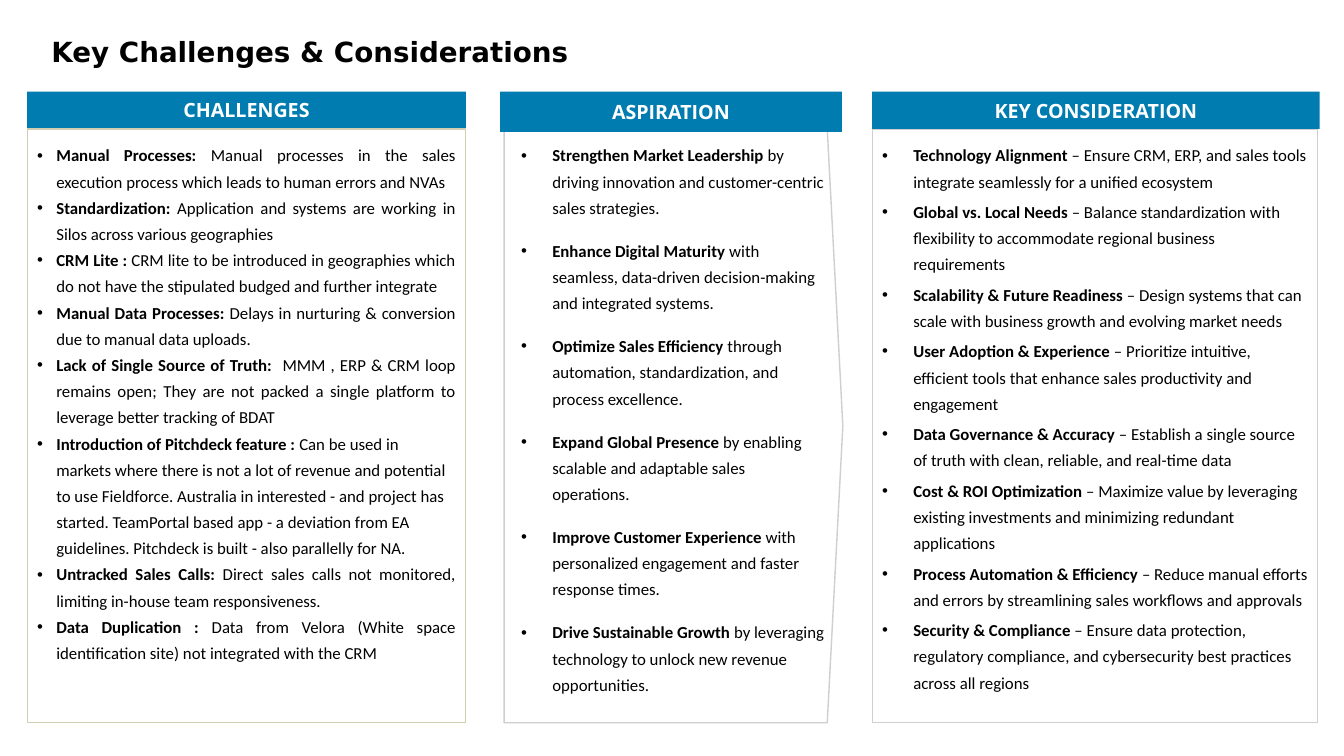
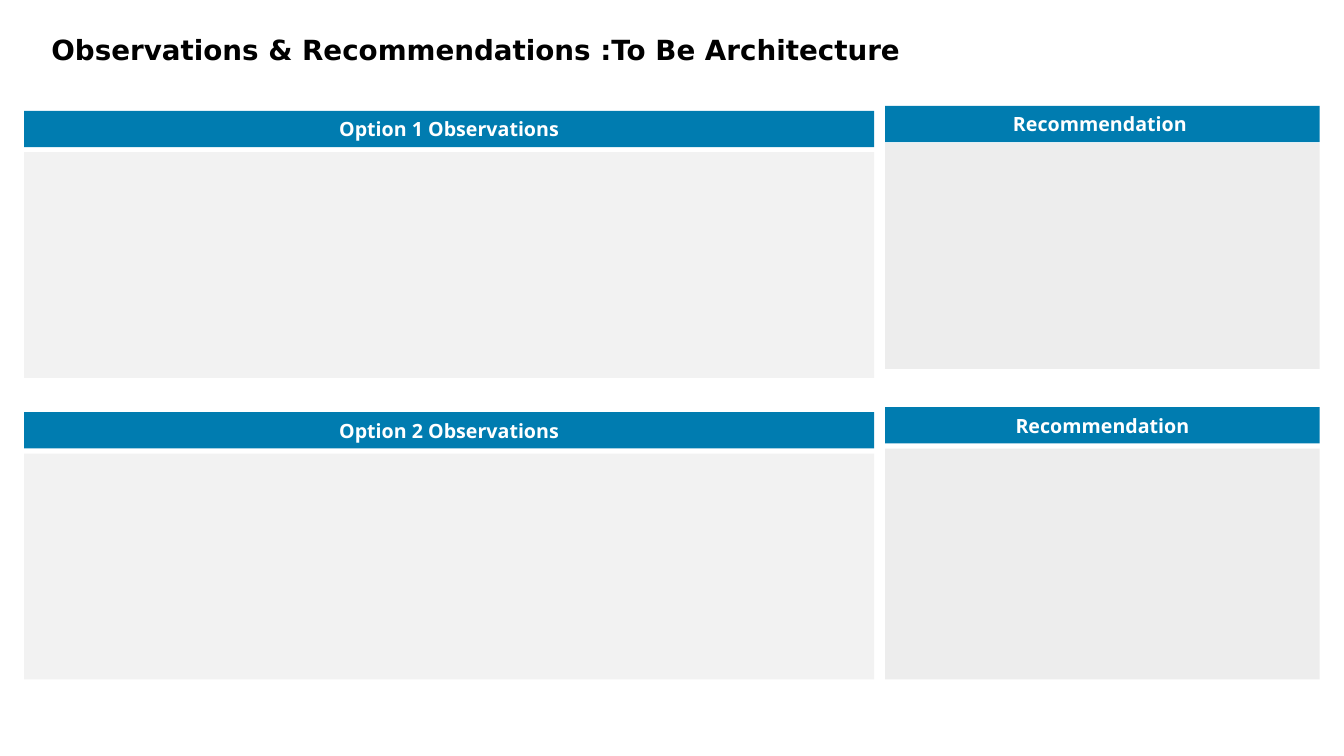
from lxml.etree import SubElement
from pptx import Presentation
from pptx.dml.color import RGBColor
from pptx.enum.shapes import MSO_SHAPE
from pptx.enum.text import MSO_ANCHOR, MSO_AUTO_SIZE, PP_ALIGN
from pptx.oxml.ns import qn
from pptx.util import Inches, Pt

BLUE, WHITE, BLACK = "007CB0", "FFFFFF", "000000"
OLIVE_LINE, GREY_LINE = "D2CEB1", "D0CECE"
OBSERVATION_GREY, RECOMMENDATION_GREY = "F2F2F2", "EDEDED"
TITLE_FONT, BAND_FONT, BODY_FONT = "DejaVu Sans", "Open Sans", "Calibri"
TITLE_ONLY = 5

CHALLENGES = [
    ("Manual Processes:", " Manual processes in the sales execution process which leads to human errors and NVAs"),
    ("Standardization: ", "Application and systems are working in Silos across various geographies"),
    ("CRM Lite : ", "CRM lite to be introduced in geographies which do not have the stipulated budged "
     "and further integrate"),
    ("Manual Data Processes:", " Delays in nurturing & conversion due to manual data uploads."),
    ("Lack of Single Source of Truth: ", " MMM , ERP & CRM loop remains open; They are not packed a single "
     "platform to leverage better tracking of BDAT"),
    ("Introduction of Pitchdeck feature : ", "Can be used in markets where there is not a lot of revenue and "
     "potential to use Fieldforce. Australia in interested - and project has started. TeamPortal based app - "
     "a deviation from EA guidelines. Pitchdeck is built - also parallelly for NA."),
    ("Untracked Sales Calls:", " Direct sales calls not monitored, limiting in-house team responsiveness."),
    ("Data Duplication : ", "Data from Velora (White space identification site) not integrated with the CRM"),
]
LEFT_ALIGNED_CHALLENGE = 5

ASPIRATIONS = [
    ("Strengthen Market Leadership ", "by driving innovation and customer-centric sales strategies."),
    ("Enhance Digital Maturity ", "with seamless, data-driven decision-making and integrated systems."),
    ("Optimize Sales Efficiency ", "through automation, standardization, and process excellence."),
    ("Expand Global Presence ", "by enabling scalable and adaptable sales operations."),
    ("Improve Customer Experience ", "with personalized engagement and faster response times."),
    ("Drive Sustainable Growth ", "by leveraging technology to unlock new revenue opportunities."),
]

CONSIDERATIONS = [
    ("Technology Alignment", " – Ensure CRM, ERP, and sales tools integrate seamlessly for a unified ecosystem"),
    ("Global vs. Local Needs", " – Balance standardization with flexibility to accommodate regional business "
     "requirements"),
    ("Scalability & Future Readiness", " – Design systems that can scale with business growth and evolving "
     "market needs"),
    ("User Adoption & Experience", " – Prioritize intuitive, efficient tools that enhance sales productivity "
     "and engagement"),
    ("Data Governance & Accuracy", " – Establish a single source of truth with clean, reliable, and real-time data"),
    ("Cost & ROI Optimization", " – Maximize value by leveraging existing investments and minimizing redundant "
     "applications"),
    ("Process Automation & Efficiency", " – Reduce manual efforts and errors by streamlining sales workflows "
     "and approvals"),
    ("Security & Compliance", " – Ensure data protection, regulatory compliance, and cybersecurity best "
     "practices across all regions"),
]


def colour(hex_string):
    """Turn a hex string into a colour."""
    return RGBColor.from_string(hex_string)


def style_run(run, font, size, hex_string, bold=True):
    """Give a run its font, size, colour and weight."""
    run.font.name, run.font.size, run.font.bold = font, Pt(size), bold
    run.font.color.rgb = colour(hex_string)


def set_margins(frame, margin):
    """Set the same inset on all four sides and wrap the text."""
    frame.margin_left = frame.margin_right = Inches(margin)
    frame.margin_top = frame.margin_bottom = Inches(margin)
    frame.word_wrap = True


def add_titled_slide(deck, text, top, line_spacing=1.0):
    """Add a title-only slide with the shared title style."""
    slide = deck.slides.add_slide(deck.slide_layouts[TITLE_ONLY])
    title = slide.shapes.title
    title.left, title.top, title.width, title.height = map(Inches, (0.51, top, 12.33, 0.37))
    frame = title.text_frame
    frame.text = text
    frame.auto_size = MSO_AUTO_SIZE.NONE
    frame.vertical_anchor = MSO_ANCHOR.TOP
    set_margins(frame, 0)
    paragraph = frame.paragraphs[0]
    paragraph.alignment = PP_ALIGN.LEFT
    paragraph.line_spacing = line_spacing
    style_run(paragraph.runs[0], TITLE_FONT, 19.8, BLACK)
    return slide


def add_block(slide, box, fill=None, line=None, line_width=1, preset=MSO_SHAPE.RECTANGLE):
    """Add a flat shape with an optional fill and outline."""
    block = slide.shapes.add_shape(preset, *map(Inches, box))
    block.shadow.inherit = False
    if fill:
        block.fill.solid()
        block.fill.fore_color.rgb = colour(fill)
    else:
        block.fill.background()
    if line:
        block.line.color.rgb = colour(line)
        block.line.width = Pt(line_width)
    else:
        block.line.fill.background()
    return block


def add_band(slide, text, box):
    """Add a blue heading band with centred white text."""
    frame = add_block(slide, box, fill=BLUE).text_frame
    frame.text = text
    frame.vertical_anchor = MSO_ANCHOR.MIDDLE
    set_margins(frame, 0)
    paragraph = frame.paragraphs[0]
    paragraph.alignment = PP_ALIGN.CENTER
    paragraph.space_before = Pt(6)
    style_run(paragraph.runs[0], BAND_FONT, 14, WHITE)


def set_bullet(paragraph, margin, hanging):
    """Give a paragraph a hanging round bullet."""
    properties = paragraph._p.get_or_add_pPr()
    properties.set("marL", str(Inches(margin)))
    properties.set("indent", str(-Inches(hanging)))
    SubElement(properties, qn("a:buFont")).set("typeface", "Arial")
    SubElement(properties, qn("a:buChar")).set("char", "•")


def fill_bullets(panel, points, margin, hanging, before=0, after=0, align=PP_ALIGN.LEFT):
    """Write bulleted points, each with a bold lead, and return the paragraphs."""
    frame = panel.text_frame
    frame.vertical_anchor = MSO_ANCHOR.TOP
    set_margins(frame, 0.1)
    for index, (lead, detail) in enumerate(points):
        paragraph = frame.add_paragraph() if index else frame.paragraphs[0]
        paragraph.alignment = align
        paragraph.line_spacing = 1.3
        paragraph.space_before, paragraph.space_after = Pt(before), Pt(after)
        for text, bold in ((lead, True), (detail, False)):
            run = paragraph.add_run()
            run.text = text
            style_run(run, BODY_FONT, 12, BLACK, bold)
        set_bullet(paragraph, margin, hanging)
    return frame.paragraphs


def build_challenges(deck):
    """Build the slide with three bulleted columns."""
    slide = add_titled_slide(deck, "Key Challenges & Considerations", 0.38, 0.9)
    top, height = 1.28, 5.89

    challenges = add_block(slide, (0.27, top, 4.35, height), line=OLIVE_LINE)
    paragraphs = fill_bullets(challenges, CHALLENGES, 0.19, 0.19, align=PP_ALIGN.JUSTIFY)
    paragraphs[LEFT_ALIGNED_CHALLENGE].alignment = PP_ALIGN.LEFT

    aspiration = add_block(slide, (5, top, 3.36, height), line=GREY_LINE, preset=MSO_SHAPE.PENTAGON)
    aspiration.adjustments[0] = 0.046
    fill_bullets(aspiration, ASPIRATIONS, 0.38, 0.31, before=6, after=6)

    consideration = add_block(slide, (8.65, top, 4.42, height), line=GREY_LINE, line_width=0.75)
    fill_bullets(consideration, CONSIDERATIONS, 0.31, 0.31, before=3)

    for heading, left, width, band_height in (
        ("CHALLENGES", 0.27, 4.35, 0.36),
        ("ASPIRATION", 4.96, 3.39, 0.4),
        ("KEY CONSIDERATION", 8.65, 4.44, 0.37),
    ):
        add_band(slide, heading, (left, 0.91, width, band_height))


def build_recommendations(deck):
    """Build the slide with two options and their recommendations."""
    slide = add_titled_slide(deck, "Observations & Recommendations :To Be Architecture", 0.33)
    observation_left, observation_width = 0.24, 8.43
    recommendation_left, recommendation_width = 8.78, 4.31
    band_height, panel_height = 0.36, 2.24
    for option, top, recommendation, panel_top, recommendation_height in (
        (1, 1.1, "Recommendation ", 1.42, panel_height),
        (2, 4.09, "Recommendation", 4.45, 2.29),
    ):
        add_band(slide, f"Option {option} Observations",
                 (observation_left, top, observation_width, band_height))
        add_block(slide, (observation_left, top + 0.41, observation_width, panel_height),
                  fill=OBSERVATION_GREY)
        add_block(slide, (recommendation_left, panel_top, recommendation_width, recommendation_height),
                  fill=RECOMMENDATION_GREY)
        add_band(slide, recommendation,
                 (recommendation_left, top - 0.05, recommendation_width, band_height))


def main():
    """Build both slides and save the deck."""
    deck = Presentation()
    deck.slide_width, deck.slide_height = Inches(13.33), Inches(7.5)
    build_challenges(deck)
    build_recommendations(deck)
    deck.save("out.pptx")


if __name__ == "__main__":
    main()
